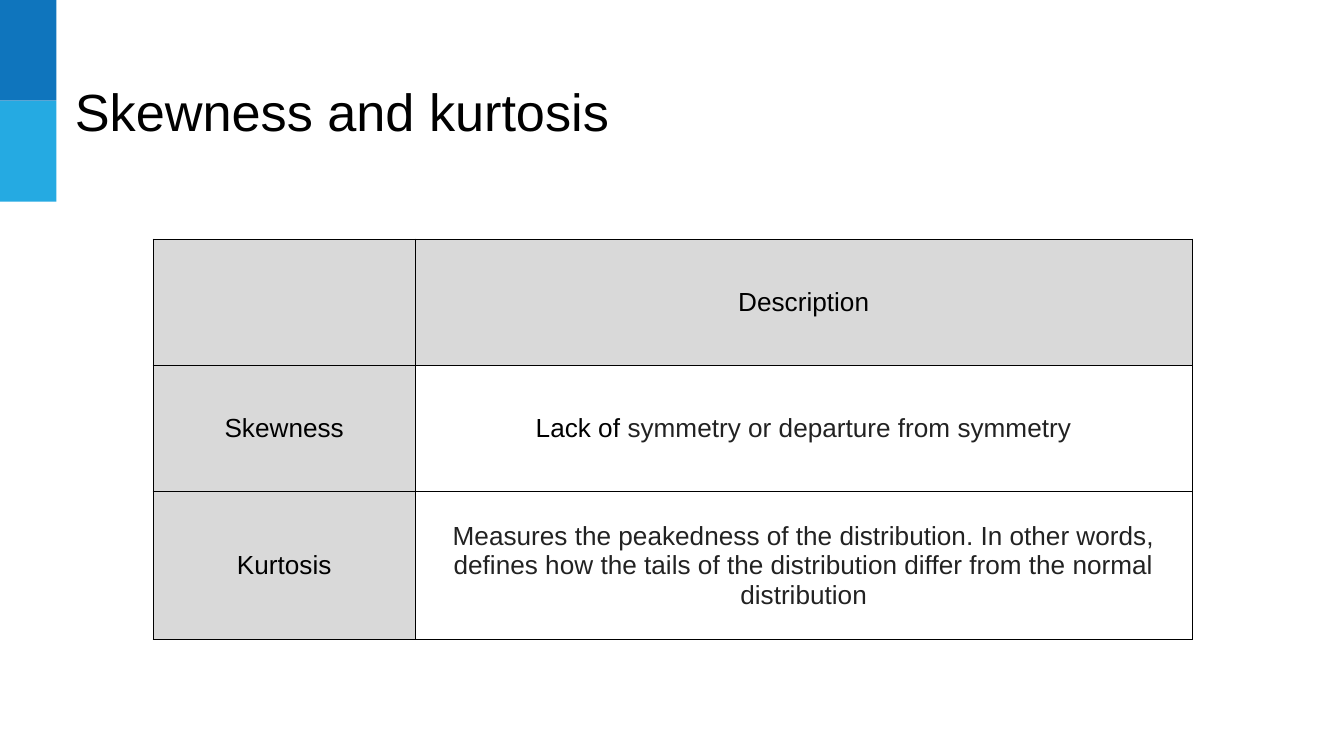
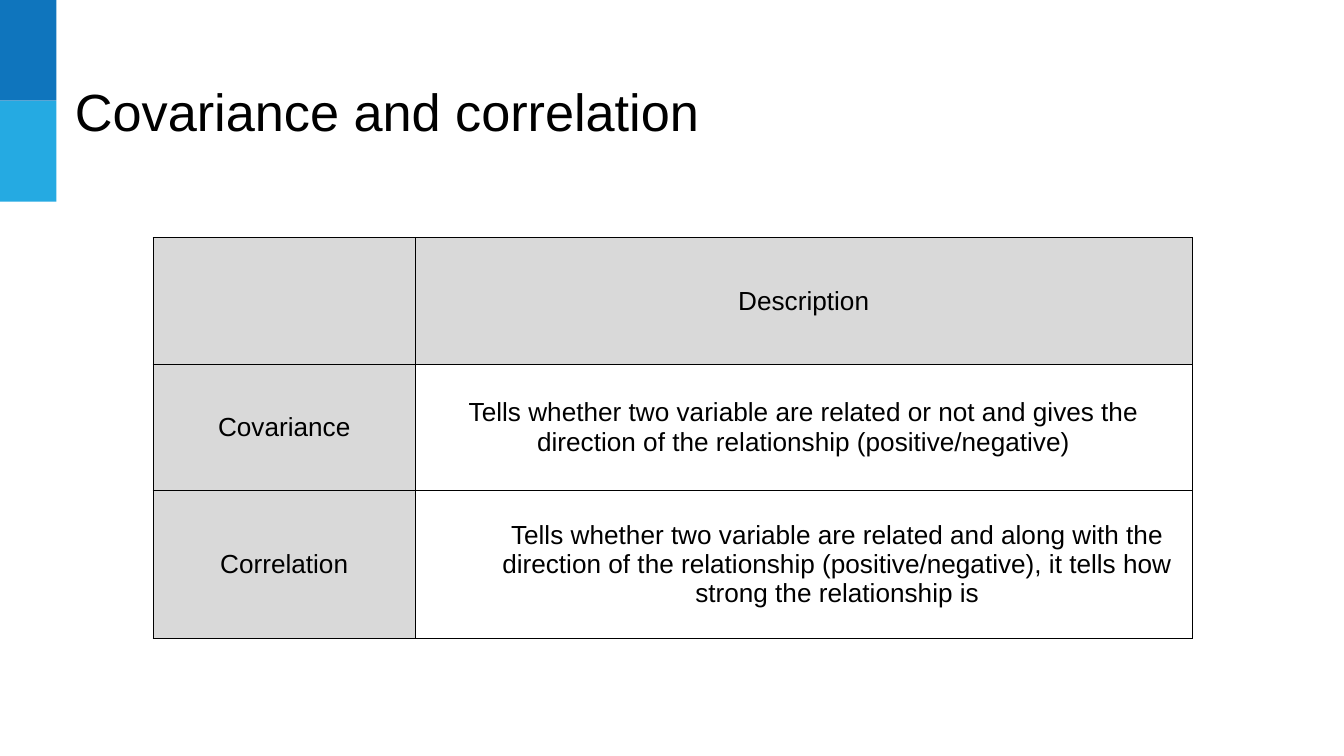
from lxml.etree import SubElement as Sub
from pptx import Presentation
from pptx.dml.color import RGBColor as Rgb
from pptx.enum.shapes import MSO_SHAPE as Form
from pptx.enum.text import MSO_ANCHOR as Anchor, PP_ALIGN as Align
from pptx.oxml.ns import qn
from pptx.util import Inches, Pt

HUES = {
    "deep": "0F75BD",
    "sky": "25AAE2",
    "head": "D9D9D9",
    "ink": "000000",
    "soft": "222222",
}
PAD = {f"margin_{side}": Inches(0.1) for side in ("left", "right", "top", "bottom")}
WIDE = Inches(10)
SIZE = {"slide_width": WIDE, "slide_height": WIDE * 9 // 16}
WIDTHS = (1.95, 5.78)
HEIGHTS = (0.94, 0.94, 1.1)

PAGES = [
    {
        "title": "Skewness and kurtosis",
        "top": 1.78,
        "rows": [
            ("Skewness", [("Lack of ", "ink"), ("symmetry or departure from symmetry", "soft")], 0),
            ("Kurtosis", [("Measures the peakedness of the distribution. In other words, "
                           "defines how the tails of the distribution differ from the "
                           "normal distribution", "soft")], 0),
        ],
    },
    {
        "title": "Covariance and correlation",
        "top": 1.77,
        "rows": [
            ("Covariance", [("Tells whether two variable are related or not and gives the "
                             "direction of the relationship (positive/negative)", "ink")], 0),
            ("Correlation", [("Tells whether two variable are related and along with the "
                              "direction of the relationship (positive/negative), it tells "
                              "how strong the relationship is", "ink")], 0.5),
        ],
    },
]


def apply(obj, style):
    """Set every attribute named in a style."""
    for name, value in style.items():
        setattr(obj, name, value)


def paint(fill, hue):
    """Fill with a named hue."""
    fill.solid()
    fill.fore_color.rgb = Rgb.from_string(HUES[hue])


def write(para, text, hue, size):
    """Add one run of text to a paragraph."""
    run = para.add_run()
    run.text = text
    apply(run.font, {"name": "Arial", "size": Pt(size)})
    run.font.color.rgb = Rgb.from_string(HUES[hue])


def add_bands(slide):
    """Stack the two blue bands in the corner."""
    for i, hue in enumerate(("deep", "sky")):
        band = slide.shapes.add_shape(
            Form.RECTANGLE, 0, Inches(0.75 * i), Inches(0.42), Inches(0.75))
        paint(band.fill, hue)
        band.line.fill.background()
        band.shadow.inherit = False


def add_title(slide, text):
    """Place the slide title."""
    box = slide.shapes.add_textbox(
        Inches(0.46), Inches(0.49), Inches(7.37), Inches(0.63))
    frame = box.text_frame
    apply(frame, {**PAD, "word_wrap": True, "vertical_anchor": Anchor.TOP})
    write(frame.paragraphs[0], text, "ink", 28)


def rule(cell):
    """Draw thin black borders on all sides of a cell."""
    props = cell._tc.get_or_add_tcPr()
    for side in "LRTB":
        line = Sub(props, qn(f"a:ln{side}"), w=str(Pt(0.75)))
        Sub(Sub(line, qn("a:solidFill")), qn("a:srgbClr"), val=HUES["ink"])


def fill_cell(cell, runs, shade, indent=0):
    """Style one cell and write its runs."""
    apply(cell, {**PAD, "vertical_anchor": Anchor.MIDDLE})
    rule(cell)
    if shade:
        paint(cell.fill, "head")
    else:
        cell.fill.background()
    para = cell.text_frame.paragraphs[0]
    para.alignment = Align.CENTER
    if indent:
        props = para._p.get_or_add_pPr()
        props.set("marL", str(Inches(indent)))
        props.set("indent", "0")
    for text, hue in runs:
        write(para, text, hue, 14)


def add_grid(slide, top, rows):
    """Build the table of terms and descriptions."""
    table = slide.shapes.add_table(
        len(HEIGHTS), len(WIDTHS), Inches(1.14), Inches(top),
        Inches(sum(WIDTHS)), Inches(sum(HEIGHTS))).table
    apply(table, {"first_row": False, "horz_banding": False})
    for col, width in zip(table.columns, WIDTHS):
        col.width = Inches(width)
    for row, height in zip(table.rows, HEIGHTS):
        row.height = Inches(height)
    fill_cell(table.cell(0, 0), [], True)
    fill_cell(table.cell(0, 1), [("Description", "ink")], True)
    for i, (term, runs, indent) in enumerate(rows, 1):
        fill_cell(table.cell(i, 0), [(term, "ink")], True)
        fill_cell(table.cell(i, 1), runs, False, indent)


def main():
    """Build and save the deck."""
    deck = Presentation()
    apply(deck, SIZE)
    for page in PAGES:
        slide = deck.slides.add_slide(deck.slide_layouts[6])
        add_bands(slide)
        add_title(slide, page["title"])
        add_grid(slide, page["top"], page["rows"])
    deck.save("out.pptx")


if __name__ == "__main__":
    main()
